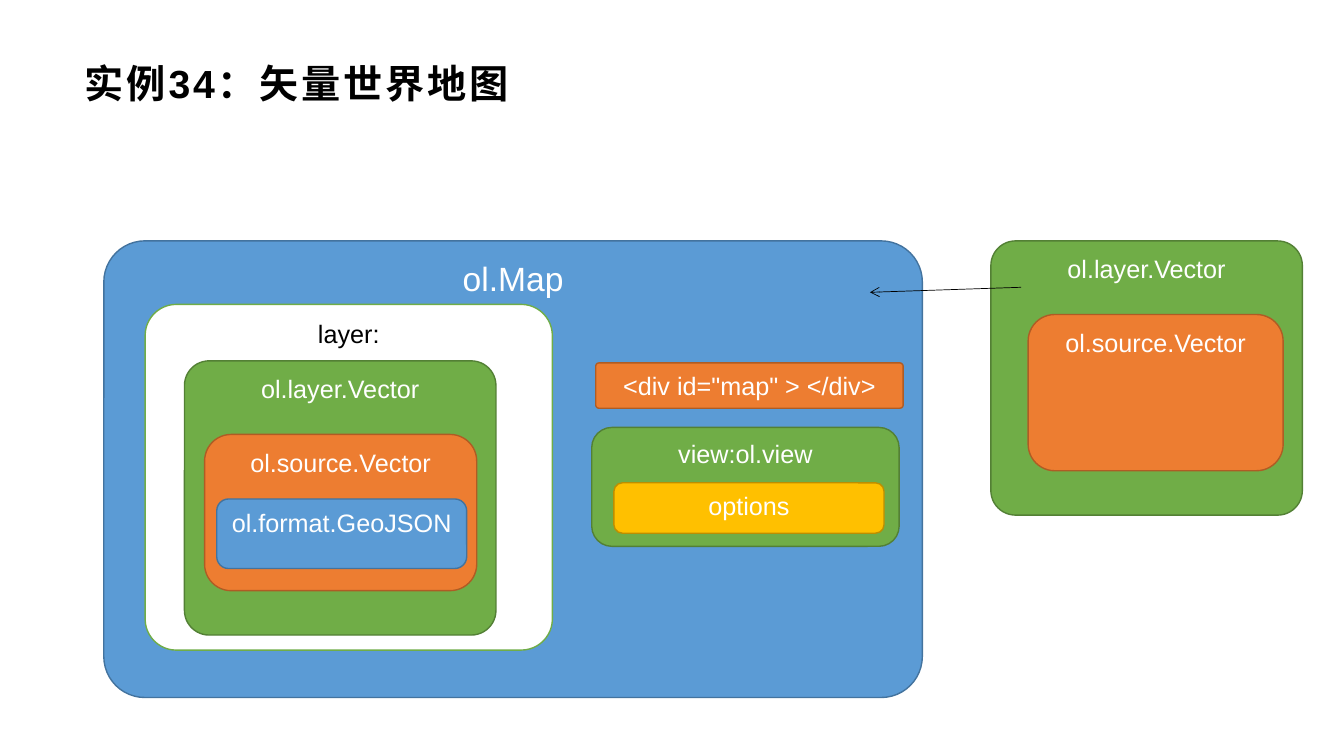
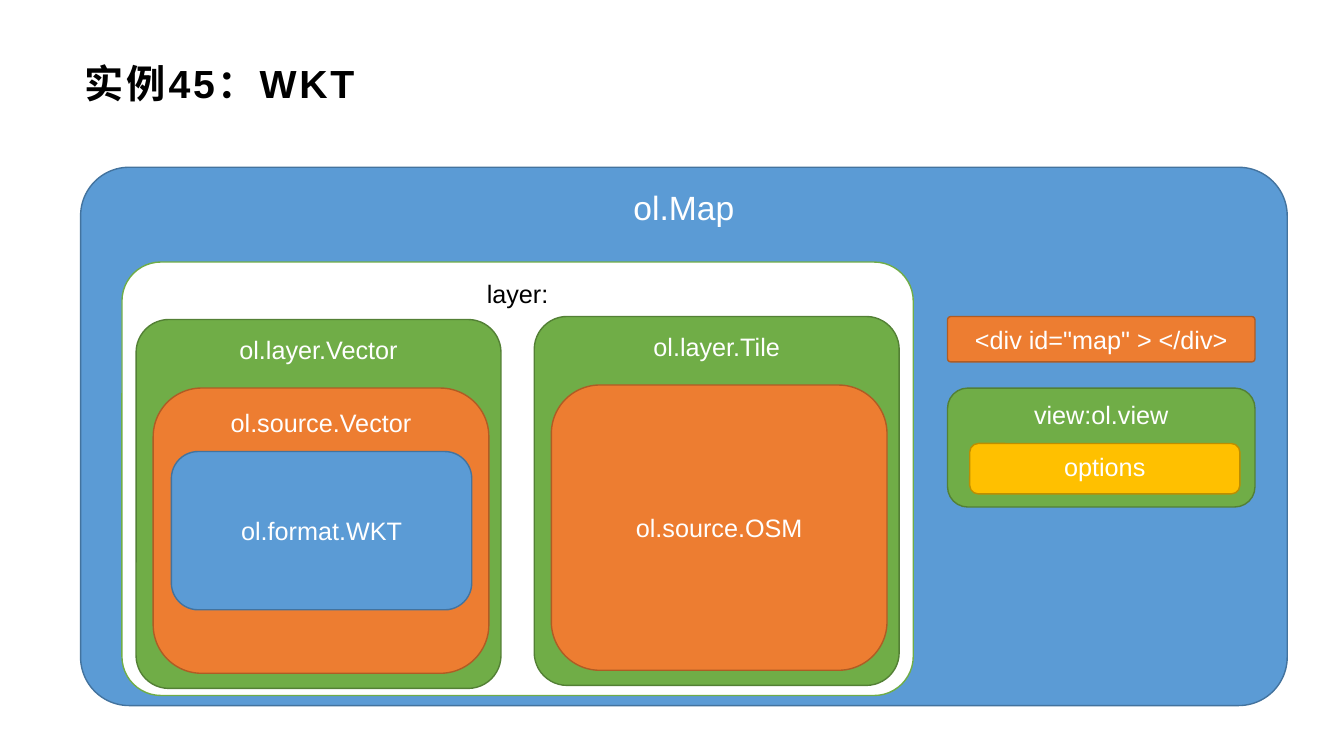
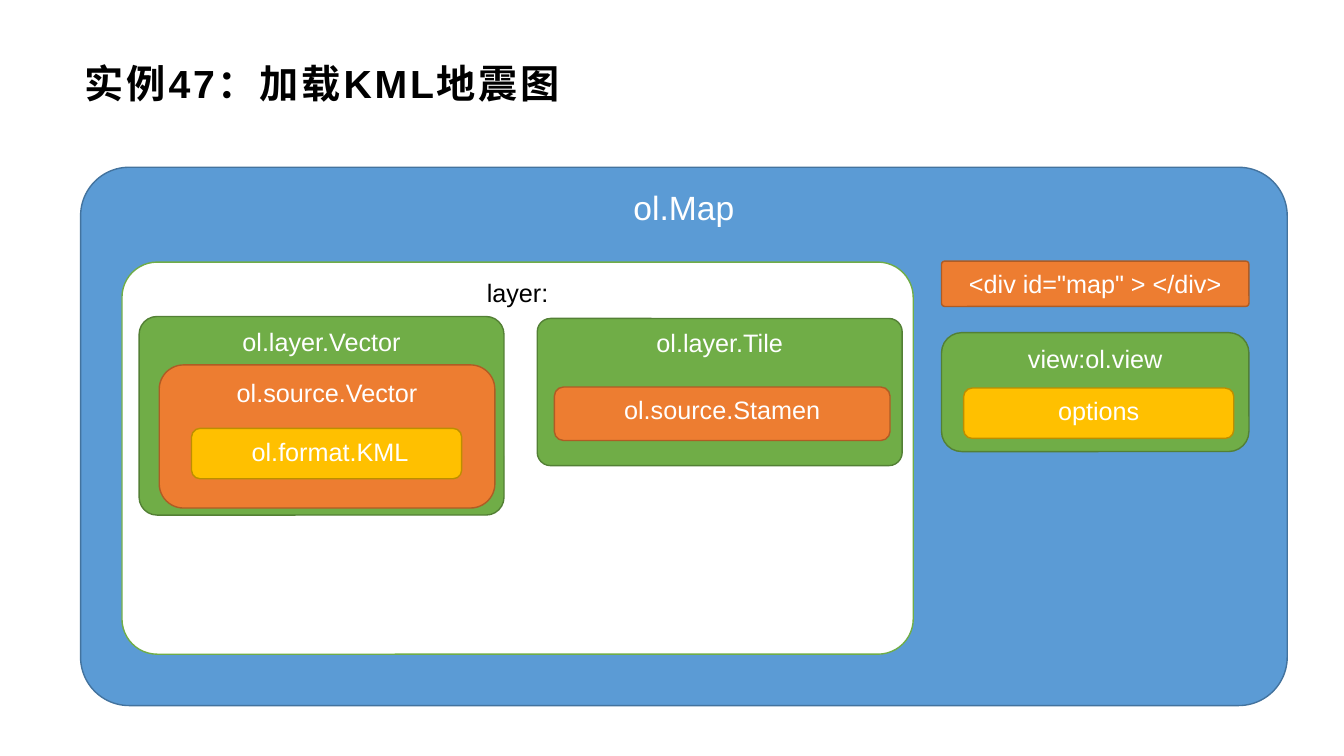
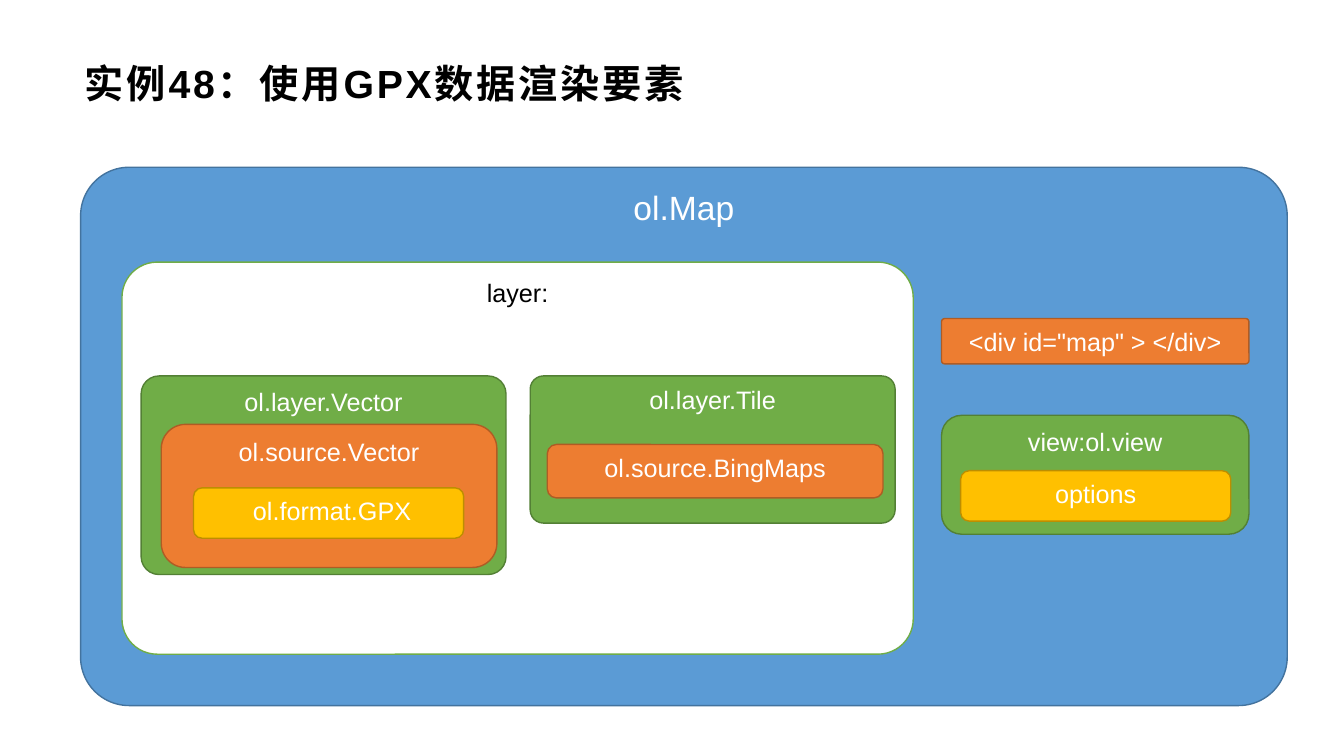
from collections import namedtuple

from pptx import Presentation
from pptx.dml.color import RGBColor
from pptx.enum.shapes import MSO_CONNECTOR, MSO_SHAPE
from pptx.enum.text import MSO_ANCHOR, MSO_AUTO_SIZE, PP_ALIGN
from pptx.oxml.ns import qn
from pptx.util import Inches, Pt
from lxml import etree

ROUNDED = MSO_SHAPE.ROUNDED_RECTANGLE
STRAIGHT = MSO_CONNECTOR.STRAIGHT
TOP, MIDDLE = MSO_ANCHOR.TOP, MSO_ANCHOR.MIDDLE
LEFT, CENTER = PP_ALIGN.LEFT, PP_ALIGN.CENTER
NO_FIT = MSO_AUTO_SIZE.NONE

CELL = Inches(0.1)
COLUMNS, ROWS = 133.33, 75
TITLE_ONLY = 5
FONT = "Arial"
COLOURS = {
    "white": "FFFFFF", "black": "000000",
    "blue": "5B9BD5", "blue edge": "43739E",
    "orange": "ED7D31", "orange edge": "AF5C24",
    "green": "70AD47", "green edge": "538035",
    "yellow": "FFC000", "yellow edge": "BD8E00",
}

Box = namedtuple("Box", "left top width height")
Style = namedtuple("Style", "fill edge ink size corner anchor")
Node = namedtuple("Node", "text style box anchor", defaults=[None])

STYLES = {
    "map": Style("blue", "blue edge", "white", 24, 0.09, TOP),
    "layers": Style("white", "green", "black", 18, 0.09, TOP),
    "layer": Style("green", "green edge", "white", 18, 0.09, TOP),
    "source": Style("orange", "orange edge", "white", 18, 0.17, TOP),
    "format": Style("blue", "blue edge", "white", 18, 0.17, TOP),
    "view": Style("green", "green edge", "white", 18, 0.17, TOP),
    "options": Style("yellow", "yellow edge", "white", 18, 0.17, TOP),
    "div": Style("orange", "orange edge", "white", 18, 0.07, MIDDLE),
}

WIDE_MAP = Box(8, 16.6, 119.7, 53.4)
WIDE_LAYERS = Box(4.1, 9.4, 78.5, 38.9)


def colour(name):
    """Return the named colour."""
    return RGBColor.from_string(COLOURS[name])


def cells(*counts):
    """Turn counts of grid cells into lengths."""
    return [round(count * CELL) for count in counts]


def inside(outer, part):
    """Move a part given relative to the outer box onto the slide."""
    return part._replace(left=outer.left + part.left, top=outer.top + part.top)


def set_font(para, size, ink):
    """Set the shared font on a paragraph."""
    para.font.name = FONT
    para.font.size = Pt(size)
    para.font.color.rgb = colour(ink)


def style_title(layout):
    """Place the title once for all slides."""
    title = layout.placeholders[0]
    title.left, title.top, title.width, title.height = cells(7.3, 4.7, 118.7, 7.1)
    frame = title.text_frame
    frame.vertical_anchor = MIDDLE
    frame.auto_size = NO_FIT
    frame.margin_left, frame.margin_right = Inches(0.11), Inches(0.08)
    frame.margin_top = frame.margin_bottom = Inches(0.04)


def add_page(deck, title):
    """Add a slide with its spaced bold title."""
    page = deck.slides.add_slide(deck.slide_layouts[TITLE_ONLY])
    page.shapes.title.text = title
    para = page.shapes.title.text_frame.paragraphs[0]
    para.alignment = LEFT
    set_font(para, 28, "black")
    para.font.bold = True
    para._p.pPr.find(qn("a:defRPr")).set("spc", "200")
    return page


def add_node(shapes, box, text, style_name, anchor=None):
    """Draw one labelled rounded box."""
    style = STYLES[style_name]
    shape = shapes.add_shape(ROUNDED, *cells(*box))
    shape.adjustments[0] = style.corner
    shape.shadow.inherit = False
    shape.fill.solid()
    shape.fill.fore_color.rgb = colour(style.fill)
    shape.line.color.rgb = colour(style.edge)
    shape.line.width = Pt(1)
    frame = shape.text_frame
    frame.vertical_anchor = style.anchor if anchor is None else anchor
    frame.text = text
    para = frame.paragraphs[0]
    para.alignment = CENTER
    set_font(para, style.size, style.ink)


def add_stack(page, outer, nodes):
    """Draw nodes, each placed relative to the one before it."""
    for node in nodes:
        outer = inside(outer, node.box)
        add_node(page.shapes, outer, node.text, node.style, node.anchor)


def add_map(page, box, layers):
    """Draw the map and its list of layers, and return the box of the list."""
    add_node(page.shapes, box, "ol.Map", "map")
    layers = inside(box, layers)
    add_node(page.shapes, layers, "layer:", "layers")
    return layers


def add_target(page, outer, left, top, view_drop, view_shift=0, indent=2.2):
    """Draw the div and, below it, the view with its options."""
    div = inside(outer, Box(left, top, 30.5, 4.5))
    add_node(page.shapes, div, '<div id="map" > </div>', "div")
    view = inside(div, Box(view_shift, view_drop, 30.5, 11.8))
    group = page.shapes.add_group_shape()
    add_node(group.shapes, view, "view:ol.view", "view")
    add_node(group.shapes, inside(view, Box(indent, 5.5, 26.8, 5)), "options", "options")


def add_arrow(page, start, end):
    """Draw a thin open arrow."""
    arrow = page.shapes.add_connector(STRAIGHT, *cells(*start, *end))
    arrow.line.color.rgb = colour("black")
    arrow.line.width = Pt(0.5)
    line = arrow.line._get_or_add_ln()
    etree.SubElement(line, qn("a:tailEnd"), type="arrow")
    etree.SubElement(arrow._element.spPr, qn("a:effectLst"))


def vector_stack(box, source, form):
    """List the nested parts of a vector layer."""
    return [Node("ol.layer.Vector", "layer", box),
            Node("ol.source.Vector", "source", source), form]


def tile_stack(box, source):
    """List the nested parts of a tile layer."""
    return [Node("ol.layer.Tile", "layer", box), source]


def build_world_map(deck):
    """Build the slide with a vector layer beside the map."""
    page = add_page(deck, "实例34：矢量世界地图")
    box = Box(10.3, 23.9, 81.2, 45.3)
    layers = add_map(page, box, Box(4.1, 6.3, 40.4, 34.3))
    add_target(page, box, 48.8, 12.1, 6.4, view_shift=-0.4)
    vector = Box(3.9, 5.6, 30.9, 27.2)
    add_stack(page, layers, vector_stack(
        vector, Box(2, 7.3, 27, 15.5),
        Node("ol.format.GeoJSON", "format", Box(1.2, 6.4, 24.8, 6.9))))
    add_stack(page, box, [
        Node("ol.layer.Vector", "layer", vector._replace(left=88, top=0)),
        Node("ol.source.Vector", "source", Box(3.7, 7.3, 25.3, 15.5))])
    add_arrow(page, (101.3, 28.5), (86.3, 29))


def build_two_layers(deck, title, layers, target, vector, tile):
    """Build a slide whose wide map holds a vector and a tile layer."""
    page = add_page(deck, title)
    layers = add_map(page, WIDE_MAP, layers)
    add_target(page, WIDE_MAP, *target)
    add_stack(page, layers, vector)
    add_stack(page, layers, tile)


def main():
    """Build and save the deck."""
    deck = Presentation()
    deck.slide_width, deck.slide_height = cells(COLUMNS, ROWS)
    style_title(deck.slide_layouts[TITLE_ONLY])
    build_world_map(deck)

    source = Box(1.7, 6.8, 33.3, 28.3)
    build_two_layers(
        deck, "实例45：WKT", WIDE_LAYERS._replace(height=43), (86, 14.8, 7.1),
        vector_stack(Box(1.4, 5.7, 36.2, 36.6), source,
                     Node("ol.format.WKT", "format", Box(1.8, 6.3, 29.8, 15.7), MIDDLE)),
        tile_stack(Box(40.9, 5.4, 36.2, 36.6),
                   Node("ol.source.OSM", "source", source, MIDDLE)))

    source = Box(2, 4.8, 33.3, 14.2)
    form = Box(3.2, 6.3, 26.8, 5)
    tile_source = Box(1.7, 6.8, 33.3, 5.3)
    build_two_layers(
        deck, "实例47：加载KML地震图", WIDE_LAYERS, (85.4, 9.3, 7.1),
        vector_stack(Box(1.7, 5.4, 36.2, 19.7), source,
                     Node(" ol.format.KML", "options", form)),
        tile_stack(Box(41.2, 5.6, 36.2, 14.6),
                   Node("ol.source.Stamen", "source", tile_source)))
    build_two_layers(
        deck, "实例48：使用GPX数据渲染要素", WIDE_LAYERS, (85.4, 15, 9.6, 0, 1.9),
        vector_stack(Box(1.9, 11.3, 36.2, 19.7), source,
                     Node(" ol.format.GPX", "options", form)),
        tile_stack(Box(40.5, 11.3, 36.2, 14.6),
                   Node("ol.source.BingMaps", "source", tile_source)))
    deck.save("out.pptx")


if __name__ == "__main__":
    main()
